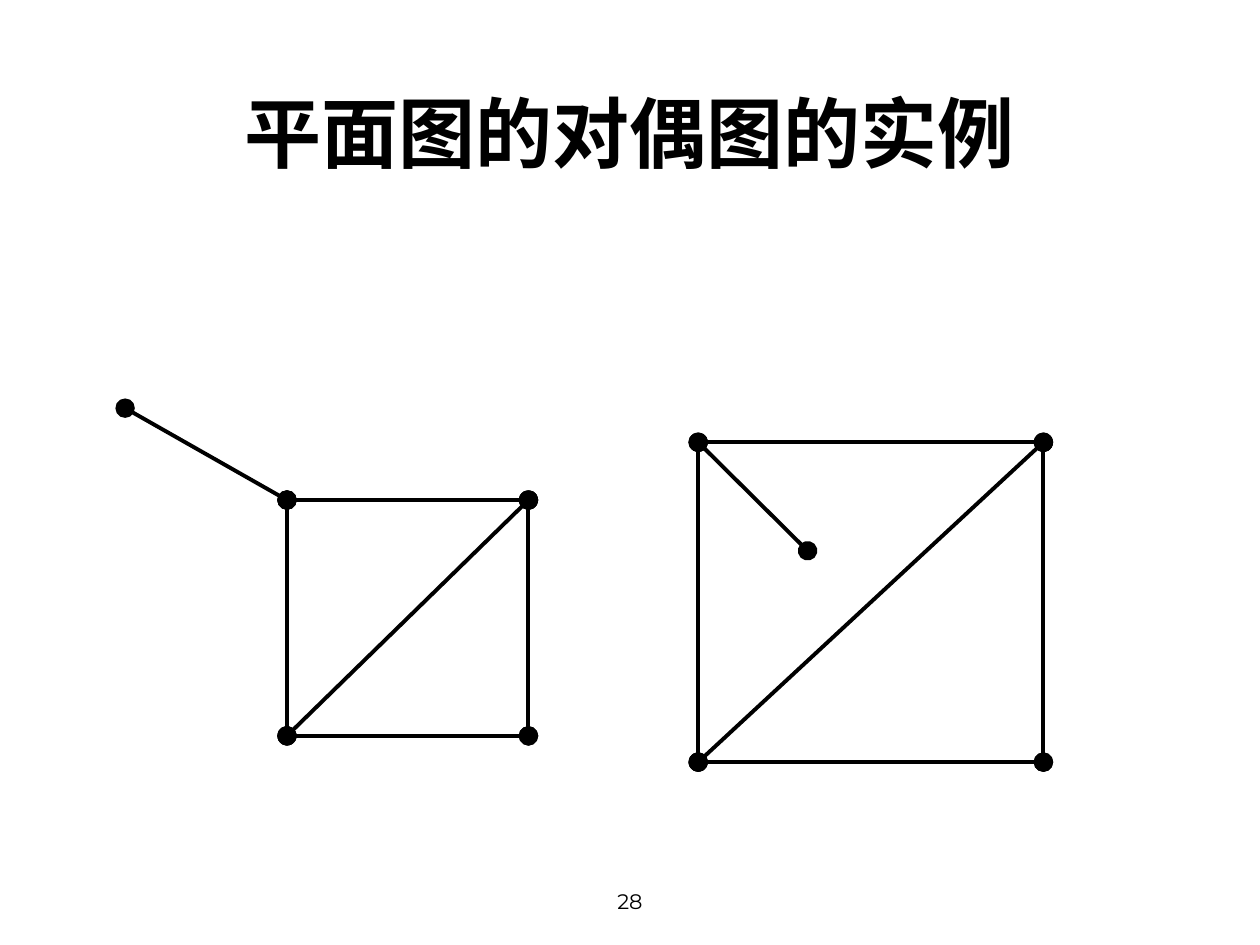
import pptx
import pptx.util
import pptx.dml.color
import pptx.enum.shapes
import pptx.enum.text
import pptx.oxml.ns
import lxml.etree

Pt = pptx.util.Pt
BLACK = pptx.dml.color.RGBColor(0, 0, 0)
TITLE_FONT = "Noto Sans CJK SC"
NUMBER_FONT = "Montserrat"


def add_child(parent, tag, **attributes):
    """Append a DrawingML element with the given attributes."""
    return lxml.etree.SubElement(parent, pptx.oxml.ns.qn(tag), **attributes)


def add_text(s, box, text, font, size, bold=False):
    """Place one centred line of text in the box."""
    tf = s.shapes.add_textbox(*map(Pt, box)).text_frame
    tf.word_wrap = True
    tf.vertical_anchor = pptx.enum.text.MSO_ANCHOR.MIDDLE
    p = tf.paragraphs[0]
    p.alignment = pptx.enum.text.PP_ALIGN.CENTER
    r = p.add_run()
    r.text = text
    r.font.name = font
    r.font.size = Pt(size)
    r.font.bold = bold
    r.font.color.rgb = BLACK
    add_child(r.font._element, "a:ea", typeface=font)


def add_edge(group, start, end):
    """Draw a graph edge with a round vertex at both ends."""
    edge = group.shapes.add_connector(
        pptx.enum.shapes.MSO_CONNECTOR.STRAIGHT, *map(Pt, start + end))
    edge.line.color.rgb = BLACK
    edge.line.width = Pt(2.25)
    ln = edge.line._get_or_add_ln()
    for tag in ("a:headEnd", "a:tailEnd"):
        add_child(ln, tag, type="oval", w="lg", len="lg")
    add_child(edge._element.spPr, "a:effectLst")


def add_graph(s, box, pendant_offset):
    """Draw a square graph with a diagonal and a pendant vertex at its top left."""
    left, top, width, height = box
    dx, dy = pendant_offset
    top_left, top_right = (left, top), (left + width, top)
    bottom_left, bottom_right = (left, top + height), (left + width, top + height)
    pendant = (left + dx, top + dy)
    group = s.shapes.add_group_shape()
    for start, end in (
        (top_left, top_right),
        (top_left, bottom_left),
        (bottom_right, bottom_left),
        (bottom_right, top_right),
        (top_right, bottom_left),
        (top_left, pendant),
    ):
        add_edge(group, start, end)


def main():
    """Build the slide and save it."""
    prs = pptx.Presentation()
    prs.slide_width, prs.slide_height = Pt(720), Pt(540)
    s = prs.slides.add_slide(prs.slide_layouts[6])
    add_text(s, (246, 500.5, 228, 29), "28", NUMBER_FONT, 12)
    add_text(s, (36, 36, 648, 78), "平面图的对偶图的实例", TITLE_FONT, 44, bold=True)
    add_graph(s, (164, 285.75, 138, 134.75), (-92.5, -52.5))
    add_graph(s, (399, 252.75, 197.25, 182.75), (62.5, 62))
    prs.save("out.pptx")


if __name__ == "__main__":
    main()
